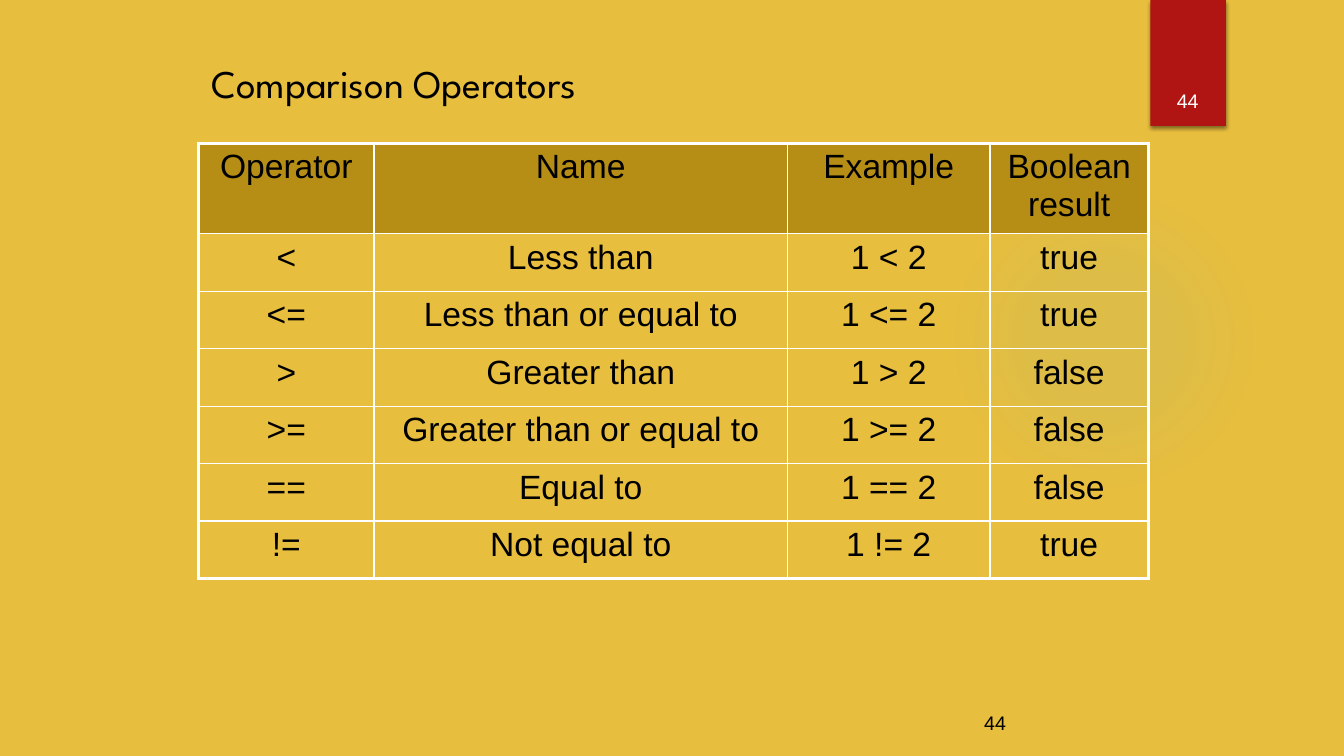
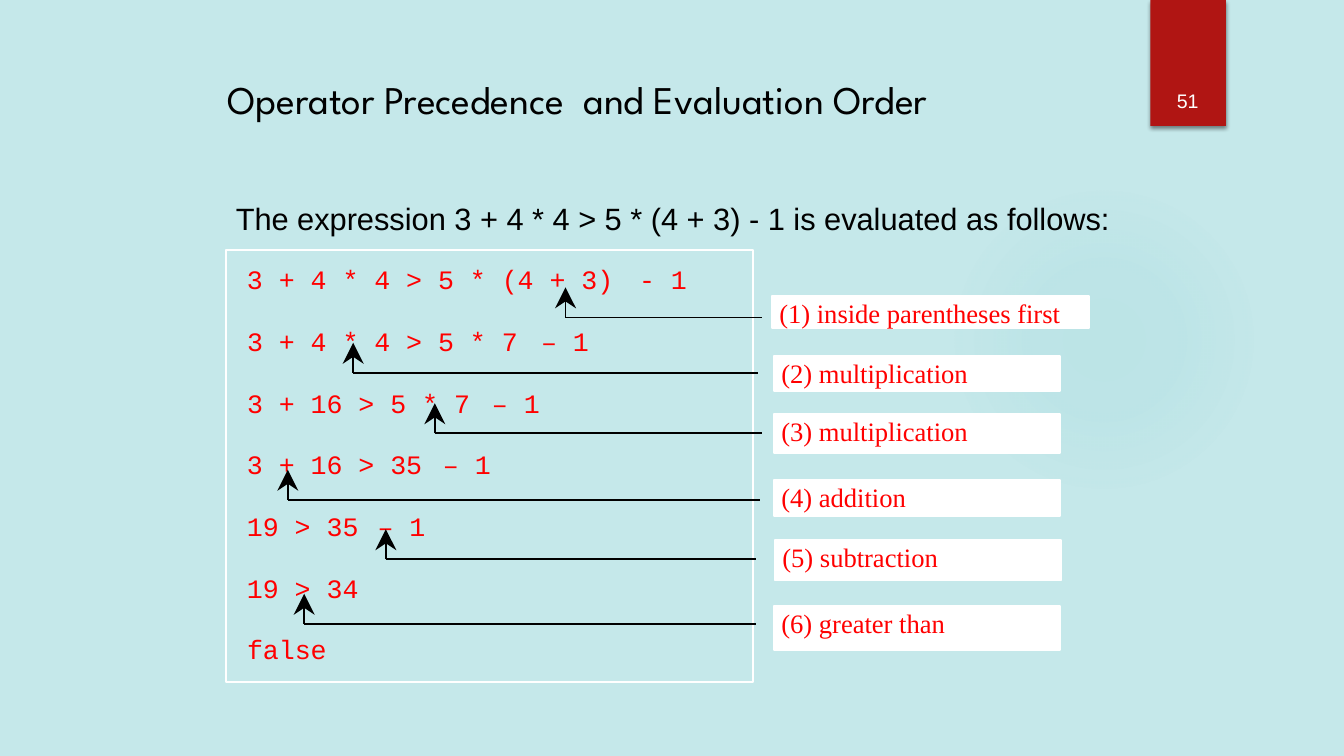
from lxml import etree
from pptx import Presentation
from pptx.dml.color import RGBColor
from pptx.enum.shapes import MSO_CONNECTOR, MSO_SHAPE
from pptx.enum.text import MSO_ANCHOR, PP_ALIGN
from pptx.oxml import parse_xml
from pptx.oxml.ns import nsdecls, qn
from pptx.util import Inches, Pt

RECT, OVAL = MSO_SHAPE.RECTANGLE, MSO_SHAPE.OVAL
LINE = MSO_CONNECTOR.STRAIGHT
TOP, MID, LOW = MSO_ANCHOR.TOP, MSO_ANCHOR.MIDDLE, MSO_ANCHOR.BOTTOM
LEFT, MIDST = PP_ALIGN.LEFT, PP_ALIGN.CENTER

WIDE, HIGH = 13.33, 7.5
GOLD, BROWN, AQUA, TEAL = "E8BE3E", "B68E15", "C5E8EA", "50B9C1"
BLACK, WHITE, CRIMSON, RED = "000000", "FFFFFF", "B01513", "FF0000"
SANS, HEAD, CODE, SERIF = "Arial", "League Spartan", "Courier New", "Times New Roman"
PAD = (0.1, 0.05, 0.1, 0.05)
NONE = (0, 0, 0, 0)
THIN, THICK, STROKE = 1, 2.25, 1.38

# Code grid: left edge, top, width of a character, height of a step
CODE_X, CODE_Y, CHAR, STEP = 2.45, 2.61, 0.162, 0.612

COLS = (1.74, 4.1, 2.01, 1.57)
ROWS = (0.9,) + (0.57,) * 6
CELLS = (
    ("Operator", "Name", "Example", "Boolean result"),
    ("<", "Less than", "1 < 2", "true"),
    ("<=", "Less than or equal to", "1 <= 2", "true"),
    (">", "Greater than", "1 > 2", "false"),
    (">=", "Greater than or equal to", "1 >= 2", "false"),
    ("==", "Equal to", "1 == 2", "false"),
    ("!=", "Not equal to", "1 != 2", "true"),
)

# Each step: expression, what follows it
STEPS = (
    ("3 + 4 * 4 > 5 * (4 + 3)", "- 1"),
    ("3 + 4 * 4 > 5 * 7", "– 1"),
    ("3 + 16 > 5 * 7", "– 1"),
    ("3 + 16 > 35", "– 1"),
    ("19 > 35", "– 1"),
    ("19 > 34", ""),
    ("false", ""),
)

# Each note: text, box (left, top, width, height), operator column, arrow y, arrow end
NOTES = (
    ("(1) inside parentheses first", (7.66, 2.94, 3.14, 0.31), 19, 3.15, 7.56),
    ("(2) multiplication", (7.68, 3.53, 2.83, 0.35), 6, 3.7, 7.52),
    ("(3) multiplication", (7.68, 4.11, 2.83, 0.38), 11, 4.3, 7.56),
    ("(4) addition", (7.68, 4.76, 2.83, 0.36), 2, 4.96, 7.54),
    ("(5) subtraction", (7.69, 5.36, 2.83, 0.4), 8, 5.55, 7.5),
    ("(6) greater than", (7.68, 6.01, 2.83, 0.44), 3, 6.19, 7.5),
)


def tint(code):
    return RGBColor.from_string(code)


def place(box):
    return [Inches(n) for n in box]


def style(par, font, size, ink, align=LEFT):
    par.alignment = align
    par.font.name, par.font.size = font, Pt(size)
    par.font.bold = False
    par.font.color.rgb = tint(ink)


def write(shape, words, font, size, ink, align=LEFT, anchor=TOP, pad=PAD, wrap=True):
    frame = shape.text_frame
    frame.word_wrap = wrap
    frame.vertical_anchor = anchor
    (frame.margin_left, frame.margin_top,
     frame.margin_right, frame.margin_bottom) = place(pad)
    par = frame.paragraphs[0]
    par.text = words
    style(par, font, size, ink, align)
    return par


def text(slide, box, *args, **opts):
    return write(slide.shapes.add_textbox(*place(box)), *args, **opts)


def block(slide, box, fill, edge=None, kind=RECT):
    shape = slide.shapes.add_shape(kind, *place(box))
    shape.shadow.inherit = False
    shape.fill.solid()
    shape.fill.fore_color.rgb = tint(fill)
    if edge:
        shape.line.color.rgb = tint(edge)
        shape.line.width = Pt(STROKE)
    else:
        shape.line.fill.background()
    return shape


def glow(slide):
    props = block(slide, (9.41, 1.83, 3.08, 3.08), TEAL, kind=OVAL)._element.spPr
    stops = "".join(
        f'<a:gs pos="{pos}000"><a:srgbClr val="{TEAL}"><a:alpha val="{seen}000"/>'
        '</a:srgbClr></a:gs>' for pos, seen in ((0, 7), (36, 6), (69, 0)))
    props.replace(props.find(qn("a:solidFill")), parse_xml(
        f'<a:gradFill {nsdecls("a")}><a:gsLst>{stops}</a:gsLst><a:path path="circle">'
        '<a:fillToRect l="50000" t="50000" r="50000" b="50000"/></a:path></a:gradFill>'))


def band(slide):
    props = block(slide, (11.41, 0, 0.75, 1.25), CRIMSON)._element.spPr
    props.find(qn("a:effectLst")).append(parse_xml(
        f'<a:outerShdw {nsdecls("a")} blurRad="{Pt(3)}" dist="{Pt(2)}" dir="5400000">'
        f'<a:srgbClr val="{BLACK}"><a:alpha val="45000"/></a:srgbClr></a:outerShdw>'))


def start(deck, back, page, title, box, anchor):
    slide = deck.slides.add_slide(deck.slide_layouts[6])
    slide.background.fill.solid()
    slide.background.fill.fore_color.rgb = tint(back)
    glow(slide)
    band(slide)
    text(slide, (11.32, 0.32, 0.92, 0.84), page, SANS, 14, WHITE, MIDST, LOW)
    text(slide, box, title, HEAD, 28, BLACK, anchor=anchor)
    return slide


def border(cell, sides):
    props = cell._tc.get_or_add_tcPr()
    for side, width in zip("LRTB", sides):
        props.append(parse_xml(
            f'<a:ln{side} {nsdecls("a")} w="{Pt(width)}"><a:solidFill>'
            f'<a:srgbClr val="{WHITE}"/></a:solidFill></a:ln{side}>'))


def grid(slide, left, top):
    box = (left, top, sum(COLS), sum(ROWS))
    table = slide.shapes.add_table(len(ROWS), len(COLS), *place(box)).table
    table.first_row = table.horz_banding = False
    for col, width in zip(table.columns, COLS):
        col.width = Inches(width)
    for r, high in enumerate(ROWS):
        table.rows[r].height = Inches(high)
        for c, words in enumerate(CELLS[r]):
            cell = table.cell(r, c)
            outer = (c == 0, c == len(COLS) - 1, r == 0, r == len(ROWS) - 1)
            border(cell, [THICK if edge else THIN for edge in outer])
            if r == 0:
                cell.fill.solid()
                cell.fill.fore_color.rgb = tint(BROWN)
            else:
                cell.fill.background()
            cell.text = words
            style(cell.text_frame.paragraphs[0], SANS, 24, BLACK, MIDST)


def rule(slide, *ends):
    line = slide.shapes.add_connector(LINE, *place(ends))
    line.line.color.rgb = tint(BLACK)
    line.line.width = Pt(STROKE)
    etree.SubElement(line._element.spPr, qn("a:effectLst"))


def arrow(slide, x, y, end):
    rule(slide, x, y, end, y)
    rule(slide, x, y, x, y - 0.17)
    # Notched head with its tip at the operator
    tip, notch, foot, half = y - 0.3, y - 0.16, y - 0.09, 0.105
    pen = slide.shapes.build_freeform(Inches(x), Inches(tip))
    pen.add_line_segments([place(p) for p in
                           ((x - half, foot), (x, notch), (x + half, foot))])
    head = pen.convert_to_shape()
    head.shadow.inherit = False
    head.fill.solid()
    head.fill.fore_color.rgb = tint(BLACK)
    head.line.fill.background()


def code(slide, row, col, words):
    box = (CODE_X + col * CHAR, CODE_Y + row * STEP, len(words) * CHAR, 0.32)
    text(slide, box, words, CODE, 19, RED, pad=NONE, wrap=False)


def compare(deck):
    slide = start(deck, GOLD, "44", "Comparison Operators", (2, 0.54, 8.5, 0.62), TOP)
    text(slide, (8.83, 7, 2.08, 0.5), "44", SANS, 14, BLACK, MIDST)
    grid(slide, 1.97, 1.42)


def order(deck):
    slide = start(deck, AQUA, "51", "Operator Precedence  and Evaluation Order",
                  (2.16, 0.54, 8.36, 0.88), MID)
    lead = text(slide, (2.24, 2, 9.33, 0.83),
                "The expression 3 + 4 * 4 > 5 * (4 + 3) - 1 is evaluated as follows:",
                SANS, 22, BLACK)
    lead.line_spacing = 0.8
    block(slide, (2.24, 2.48, 5.23, 4.29), AQUA, WHITE)
    # Steps of the evaluation
    for row, (words, rest) in enumerate(STEPS):
        code(slide, row, 0, words)
        if rest:
            code(slide, row, len(words) + 1, rest)
    # Notes and their arrows
    for words, box, col, y, end in NOTES:
        write(block(slide, box, WHITE, WHITE), words, SERIF, 19, RED,
              pad=(0.07, 0.01, 0, 0))
        arrow(slide, CODE_X + (col + 0.5) * CHAR, y, end)


def main():
    deck = Presentation()
    deck.slide_width, deck.slide_height = place((WIDE, HIGH))
    compare(deck)
    order(deck)
    deck.save("out.pptx")


if __name__ == "__main__":
    main()
